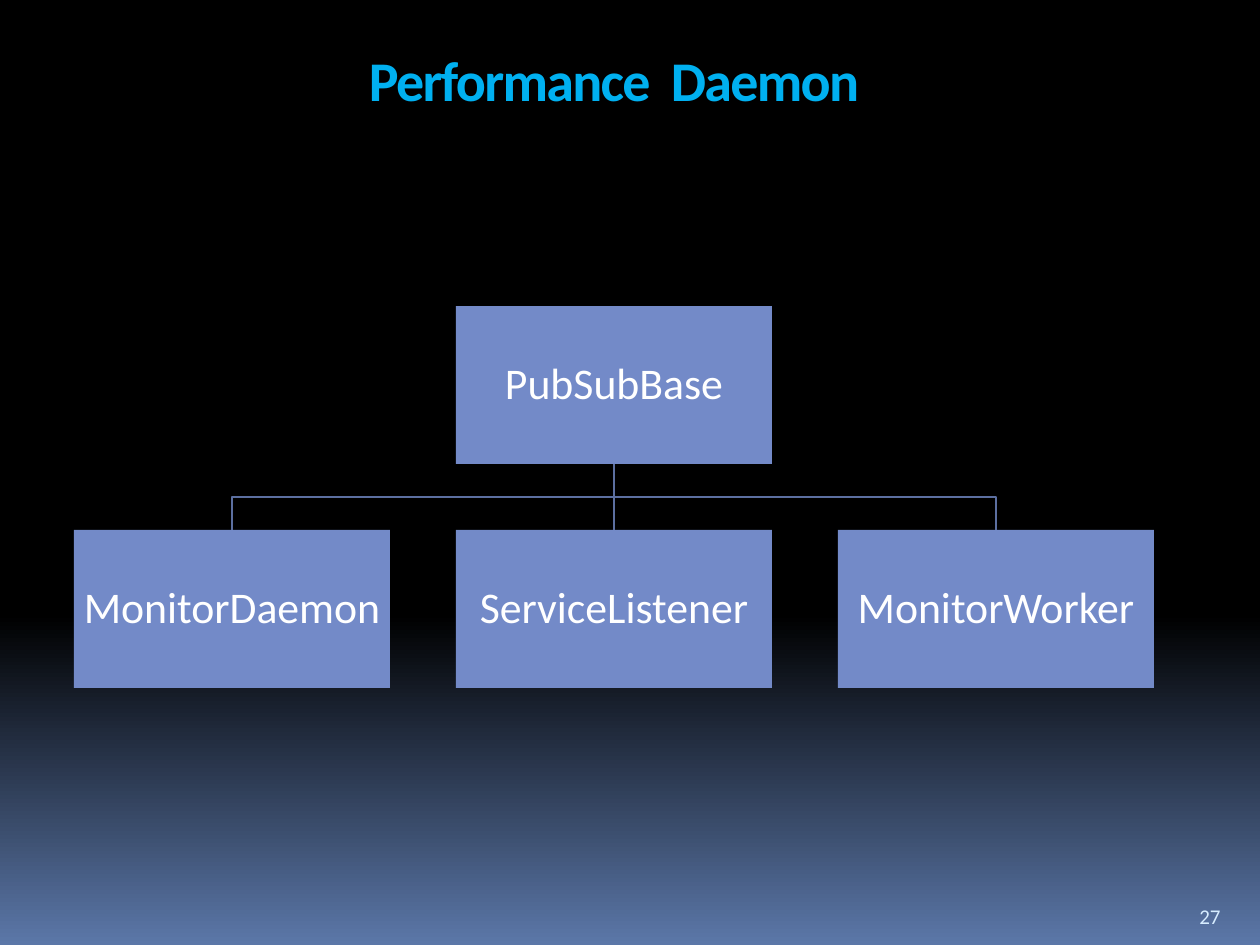
from dataclasses import dataclass

from lxml import etree
from pptx import Presentation
from pptx import util as u
from pptx.dml.color import RGBColor
from pptx.enum import shapes, text
from pptx.oxml.ns import qn

EMU_PER_PX = 914400 / 126
SLIDE_WIDTH, SLIDE_HEIGHT = 1260, 945
BOX_WIDTH, BOX_HEIGHT = 316, 158
FIRST_LEFT, COLUMN_STEP = 74, 382
PARENT_TOP, CHILD_TOP = 306, 530
CHILDREN = ["MonitorDaemon", "ServiceListener", "MonitorWorker"]


@dataclass(frozen=True)
class Theme:
    font: str = "Calibri"
    black: str = "000000"
    horizon: str = "5B77A8"
    title: str = "00B0F0"
    box: str = "738AC8"
    line: str = "5C6FA0"
    box_text: str = "FFFFFF"
    number: str = "D6ECFF"
    title_size: int = 32
    box_size: int = 25
    number_size: int = 12
    line_width: float = 1.5


THEME = Theme()


def px(length):
    return u.Emu(round(length * EMU_PER_PX))


def rgb(color):
    return RGBColor.from_string(color)


def write(frame, words, size, color, align, anchor):
    """Fill a text frame with one styled paragraph and return it."""
    frame.word_wrap = True
    frame.auto_size = text.MSO_AUTO_SIZE.NONE
    frame.vertical_anchor = anchor
    paragraph = frame.paragraphs[0]
    paragraph.text = words
    paragraph.alignment = align
    paragraph.font.name = THEME.font
    paragraph.font.size = u.Pt(size)
    paragraph.font.color.rgb = rgb(color)
    return paragraph


def set_background(slide):
    fill = slide.background.fill
    fill.gradient()
    fill.gradient_angle = 270
    stops = [(0.65, THEME.black), (1, THEME.horizon)]
    for stop, (position, color) in zip(fill.gradient_stops, stops):
        stop.position = position
        stop.color.rgb = rgb(color)


def add_title(slide, words):
    title = slide.shapes.title
    title.left, title.top, title.width, title.height = map(px, (42, 63, 1144, 94))
    title.fill.solid()
    title.fill.fore_color.rgb = rgb(THEME.black)
    paragraph = write(title.text_frame, words, THEME.title_size, THEME.title,
                      text.PP_ALIGN.CENTER, text.MSO_ANCHOR.TOP)
    paragraph.line_spacing = u.Pt(25)
    paragraph.font.bold = True
    paragraph.runs[0].font._element.set("spc", "-100")


def add_box(slide, words, column, top):
    left = FIRST_LEFT + column * COLUMN_STEP
    box = slide.shapes.add_shape(shapes.MSO_SHAPE.RECTANGLE,
                                 *map(px, (left, top, BOX_WIDTH, BOX_HEIGHT)))
    box.shadow.inherit = False
    box.fill.solid()
    box.fill.fore_color.rgb = rgb(THEME.box)
    box.line.fill.background()
    frame = box.text_frame
    frame.margin_left = frame.margin_right = px(2)
    frame.margin_top = frame.margin_bottom = px(2)
    paragraph = write(frame, words, THEME.box_size, THEME.box_text,
                      text.PP_ALIGN.CENTER, text.MSO_ANCHOR.MIDDLE)
    paragraph.line_spacing = 0.9
    return box


def style_line(line):
    line.color.rgb = rgb(THEME.line)
    line.width = u.Pt(THEME.line_width)


def add_straight_branch(slide, parent, child):
    connector = slide.shapes.add_connector(shapes.MSO_CONNECTOR.STRAIGHT, 0, 0, 0, 0)
    connector.begin_connect(parent, 2)
    connector.end_connect(child, 0)
    style_line(connector.line)
    etree.SubElement(connector._element.spPr, qn("a:effectLst"))


def add_bent_branch(slide, parent, child):
    """Draw down, across and down from the parent to a child in another column."""
    start_x = parent.left + parent.width // 2
    end_x = child.left + child.width // 2
    start_y = parent.top + parent.height
    middle_y = (start_y + child.top) // 2
    builder = slide.shapes.build_freeform(start_x, start_y)
    builder.add_line_segments(
        [(start_x, middle_y), (end_x, middle_y), (end_x, child.top)], close=False)
    branch = builder.convert_to_shape()
    branch.shadow.inherit = False
    branch.fill.background()
    style_line(branch.line)


def add_slide_number(slide, number):
    box = slide.shapes.add_textbox(*map(px, (1187, 885, 63, 50)))
    write(box.text_frame, number, THEME.number_size, THEME.number,
          text.PP_ALIGN.LEFT, text.MSO_ANCHOR.BOTTOM)


def main():
    presentation = Presentation()
    presentation.slide_width = px(SLIDE_WIDTH)
    presentation.slide_height = px(SLIDE_HEIGHT)
    slide = presentation.slides.add_slide(presentation.slide_layouts[5])
    set_background(slide)
    add_slide_number(slide, "27")
    add_title(slide, "Performance  Daemon")
    parent = add_box(slide, "PubSubBase", 1, PARENT_TOP)
    for column, name in enumerate(CHILDREN):
        child = add_box(slide, name, column, CHILD_TOP)
        add_branch = add_straight_branch if child.left == parent.left else add_bent_branch
        add_branch(slide, parent, child)
    presentation.save("out.pptx")


if __name__ == "__main__":
    main()
